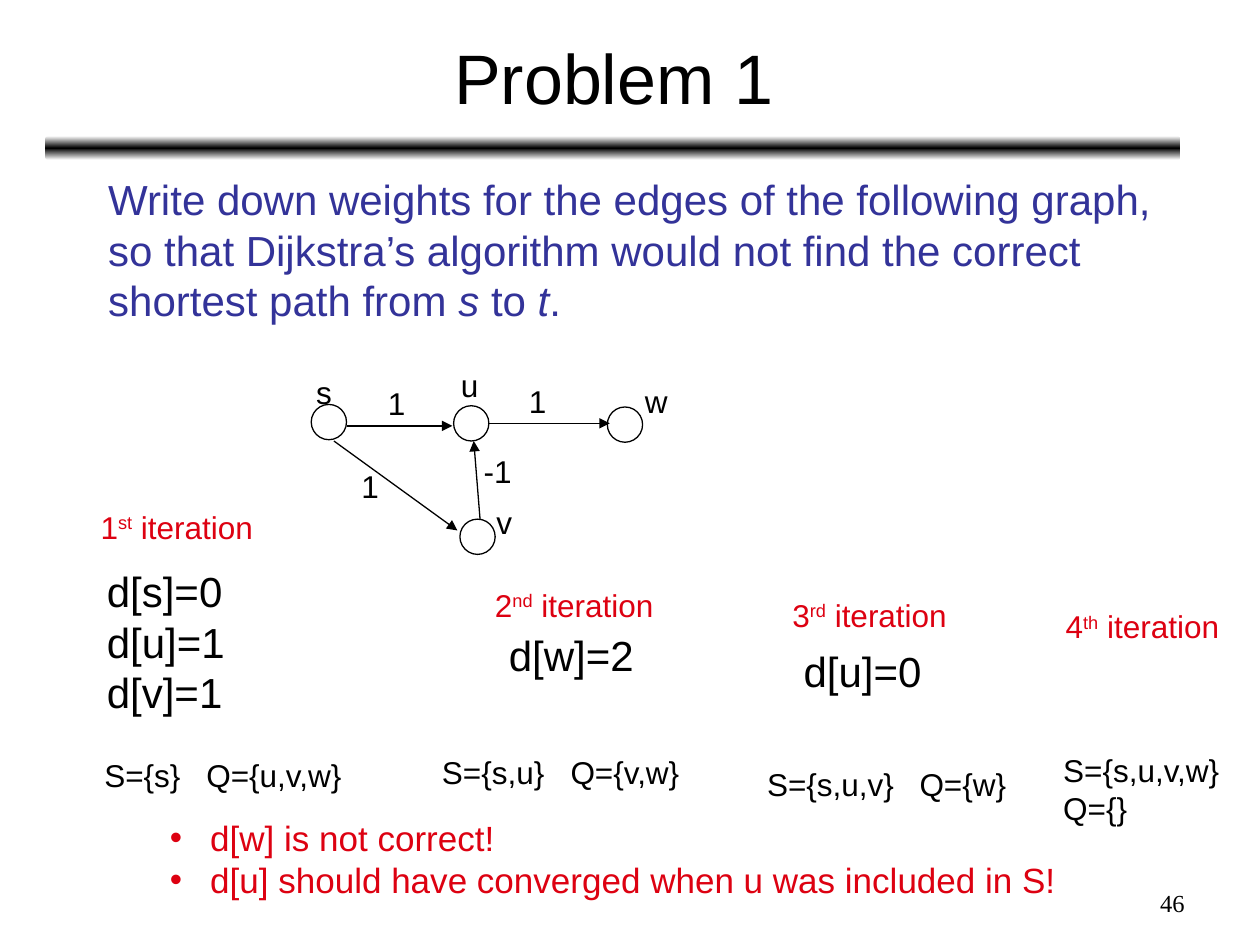
from copy import deepcopy
from dataclasses import dataclass

from lxml.etree import SubElement
from pptx import Presentation
from pptx.dml.color import RGBColor as RGB
from pptx.enum.shapes import MSO_CONNECTOR as Line, MSO_SHAPE as Shape
from pptx.enum.text import MSO_ANCHOR as Anchor, PP_ALIGN as Align
from pptx.oxml.ns import qn
from pptx.util import Inches, Pt


@dataclass(frozen=True)
class Theme:
    ink: RGB = RGB(0, 0, 0)
    paper: RGB = RGB(255, 255, 255)
    question: RGB = RGB(0x33, 0x33, 0x99)
    accent: RGB = RGB(0xDD, 0x01, 0x11)
    title: int = 40
    body: int = 24
    remark: int = 20
    label: int = 18
    footer: int = 14
    font: str = "Arial"
    footer_font: str = "Times New Roman"
    line: float = 0.75


THEME = Theme()


def place(*lengths):
    return [Inches(length) for length in lengths]


def apply(target, values):
    for name, value in values.items():
        setattr(target, name, value)


def write(slide, box, lines, size, color=THEME.ink, font=THEME.font,
          align=Align.LEFT, anchor=Anchor.TOP, wrap=True):
    frame = slide.shapes.add_textbox(*place(*box)).text_frame
    apply(frame, {"word_wrap": wrap, "vertical_anchor": anchor})
    for index, runs in enumerate(lines):
        paragraph = frame.paragraphs[0] if index == 0 else frame.add_paragraph()
        paragraph.alignment = align
        for text, style in runs:
            run = paragraph.add_run()
            run.text = text
            apply(run.font, {"size": Pt(size), "name": font, "italic": style == "italic"})
            run.font.color.rgb = color
            if style == "super":
                run._r.get_or_add_rPr().set("baseline", "30000")
    return frame.paragraphs


def plain(*texts):
    return [[(text, None)] for text in texts]


def indent(paragraph, margin, first=0.0):
    properties = paragraph._p.get_or_add_pPr()
    properties.set("marL", str(Inches(margin)))
    properties.set("indent", str(Inches(first)))
    return properties


def header(slide, box):
    left, top, width, height = box
    rule = slide.shapes.add_shape(
        Shape.ROUNDED_RECTANGLE, *place(left - 0.01, top + 0.97, width + 0.01, 0.19))
    rule.shadow.inherit = False
    rule.line.fill.background()
    rule.fill.gradient()
    rule.fill.gradient_angle = 90
    stops = rule._element.spPr.find(".//" + qn("a:gsLst"))
    stops.append(deepcopy(stops[0]))
    colors = (THEME.paper, THEME.ink, THEME.paper)
    for stop, position, color in zip(rule.fill.gradient_stops, (0, 0.5, 1), colors):
        stop.color.rgb = color
        stop.position = position
    write(slide, box, plain("Problem 1"), THEME.title,
          align=Align.CENTER, anchor=Anchor.MIDDLE)


def question(slide, box):
    runs = [
        ("Write down weights for the edges of the following graph, so that "
         "Dijkstra’s algorithm would not find the correct shortest path from ", None),
        ("s ", "italic"), ("to ", None), ("t", "italic"), (".", None),
    ]
    paragraphs = write(slide, box, [runs], THEME.body, THEME.question)
    indent(paragraphs[0], 0.38)


def graph(slide, box):
    left, top = box[:2]
    diameter = 0.28
    nodes = [
        ("s", 0.06, 0.35, -0.06, -0.30, 0.32),
        ("u", 1.19, 0.36, -0.04, -0.36, 0.34),
        ("w", 2.41, 0.37, 0.20, -0.25, 0.38),
        ("v", 1.24, 1.26, 0.19, -0.18, 0.32),
    ]
    edges = [
        ("1", 0.34, 0.52, 1.18, 0.52, 0.57, 0.14, 0.34),
        ("1", 0.24, 0.64, 1.22, 1.35, 0.36, 0.80, 0.34),
        ("1", 1.46, 0.50, 2.43, 0.50, 1.69, 0.12, 0.34),
        ("-1", 1.40, 1.26, 1.35, 0.64, 1.33, 0.68, 0.42),
    ]
    for name, x, y, shift_x, shift_y, width in nodes:
        node = slide.shapes.add_shape(
            Shape.OVAL, *place(left + x, top + y, diameter, diameter))
        node.shadow.inherit = False
        node.fill.background()
        node.line.color.rgb = THEME.ink
        node.line.width = Pt(THEME.line)
        write(slide, (left + x + shift_x, top + y + shift_y, width, 0.4),
              plain(name), THEME.label, wrap=False)
    for weight, x1, y1, x2, y2, label_x, label_y, width in edges:
        edge = slide.shapes.add_connector(
            Line.STRAIGHT, *place(left + x1, top + y1, left + x2, top + y2))
        edge.line.color.rgb = THEME.ink
        edge.line.width = Pt(THEME.line)
        SubElement(edge.line._get_or_add_ln(), qn("a:tailEnd"), type="triangle")
        SubElement(edge._element.spPr, qn("a:effectLst"))
        write(slide, (left + label_x, top + label_y, width, 0.4),
              plain(weight), THEME.label, wrap=False)


def iteration(slide, box, number, suffix, distances, distance_at, sets, sets_at, stop):
    left, top, width, height = box
    heading = [(number, None), (suffix, "super"), (" iteration", None)]
    write(slide, box, [heading], THEME.label, THEME.accent)
    if distances:
        x, y = distance_at
        write(slide, (left + x, top + y, 1.4, 0.1 + 0.4 * len(distances)),
              plain(*distances), THEME.body, anchor=Anchor.MIDDLE)
    x, y = sets_at
    paragraphs = write(slide, (left + x, top + y, 2.2 if stop else 1.6, 0.1 + 0.3 * len(sets)),
                       plain(*sets), THEME.label)
    if stop:
        tabs = SubElement(paragraphs[0]._p.get_or_add_pPr(), qn("a:tabLst"))
        SubElement(tabs, qn("a:tab"), pos=str(Inches(stop)), algn="l")


def conclusion(slide, box):
    remarks = plain("d[w] is not correct!",
                    "d[u] should have converged when u was included in S!")
    for paragraph in write(slide, box, remarks, THEME.remark, THEME.accent,
                           anchor=Anchor.MIDDLE):
        properties = indent(paragraph, 0.32, -0.32)
        SubElement(properties, qn("a:buFont"), typeface=THEME.font)
        SubElement(properties, qn("a:buChar"), char="•")


def page_number(slide, box):
    write(slide, box, plain("46"), THEME.footer, font=THEME.footer_font, align=Align.RIGHT)


def main():
    deck = Presentation()
    apply(deck, {"slide_width": Inches(10), "slide_height": Inches(7.5)})
    slide = deck.slides.add_slide(deck.slide_layouts[6])
    header(slide, (0.37, 0.11, 9, 0.99))
    question(slide, (0.38, 1.33, 9.01, 1.4))
    graph(slide, (2.41, 2.86, 2.99, 1.54))
    steps = [
        ((0.70, 3.98, 1.5, 0.4), "1", "st", ["d[s]=0", "d[u]=1", "d[v]=1"], (0.05, 0.46),
         ["S={s}\tQ={u,v,w}"], (0.03, 1.97), 0.81),
        ((3.83, 4.60, 1.6, 0.4), "2", "nd", ["d[w]=2"], (0.11, 0.35),
         ["S={s,u}\tQ={v,w}"], (-0.42, 1.33), 1.02),
        ((6.19, 4.68, 1.6, 0.4), "3", "rd", ["d[u]=0"], (0.09, 0.39),
         ["S={s,u,v}\tQ={w}"], (-0.20, 1.34), 1.21),
        ((8.36, 4.77, 1.5, 0.4), "4", "th", [], None,
         ["S={s,u,v,w}", "Q={}"], (-0.02, 1.14), None),
    ]
    for step in steps:
        iteration(slide, *step)
    conclusion(slide, (1.25, 6.43, 7.61, 0.77))
    page_number(slide, (7.17, 7, 2.33, 0.35))
    deck.save("out.pptx")


if __name__ == "__main__":
    main()
